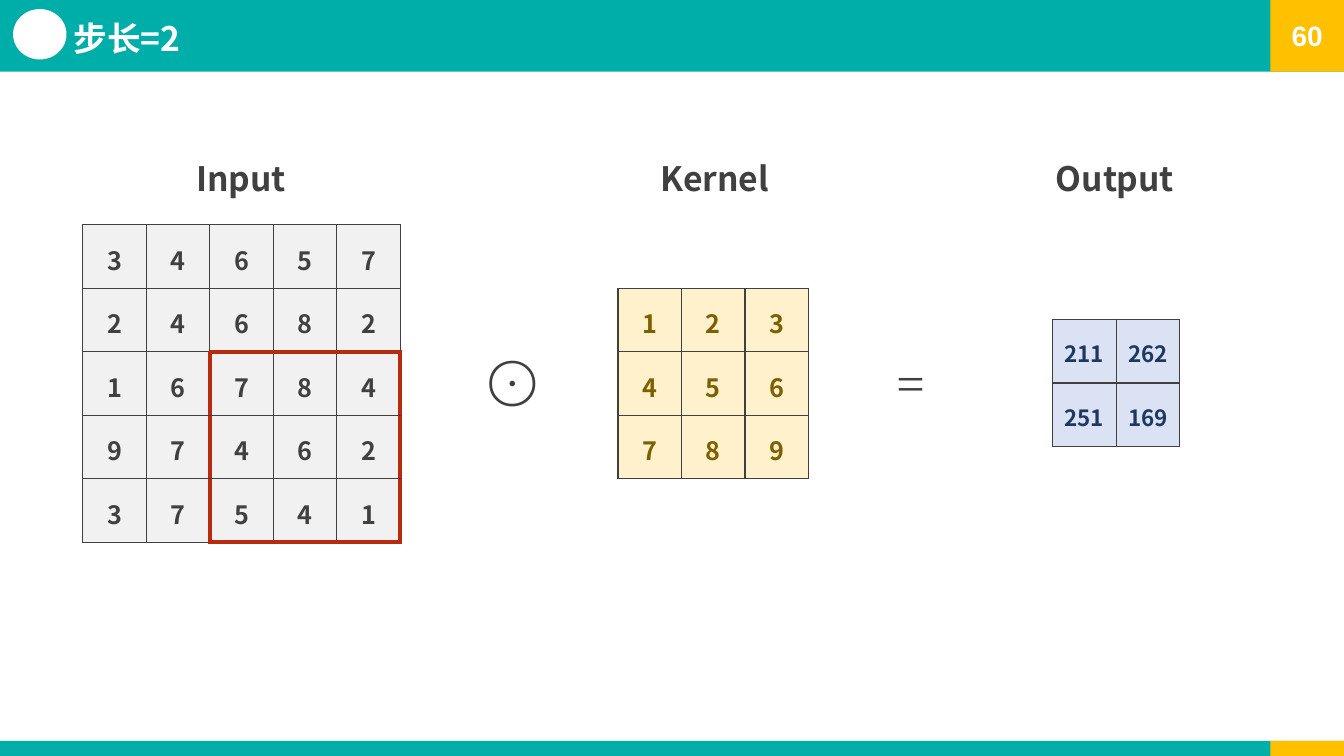
from dataclasses import dataclass

from lxml.etree import SubElement
from pptx import Presentation
from pptx.dml.color import RGBColor
from pptx.enum.shapes import MSO_SHAPE as SHAPE
from pptx.enum.text import MSO_ANCHOR as ANCHOR, PP_ALIGN as ALIGN
from pptx.oxml.ns import qn
from pptx.util import Inches, Pt


@dataclass(frozen=True)
class Theme:
    """Colours, fonts and type sizes of the slide."""
    teal: str = "00AEA9"
    amber: str = "FFC000"
    white: str = "FFFFFF"
    ink: str = "404040"
    window: str = "B82B0E"
    input_fill: str = "F1F1F1"
    kernel_fill: str = "FFF1CC"
    kernel_ink: str = "7E5F00"
    output_fill: str = "DAE2F3"
    output_ink: str = "1F3863"
    sans: str = "Noto Sans CJK SC"
    serif: str = "Times New Roman"
    number: str = "Arial"
    heading: int = 24
    page: int = 20
    digit: int = 18
    result: int = 16
    operator: int = 36


THEME = Theme()
CELL = 0.63


def rgb(color):
    """Turn a hex string into a colour."""
    return RGBColor.from_string(color)


def add_run(p, text, size, color, font=THEME.sans, bold=True, spacing=0):
    """Add one formatted run, with letter spacing in points."""
    r = p.add_run()
    r.text = text
    r.font.size, r.font.bold, r.font.name = Pt(size), bold, font
    r.font.color.rgb = rgb(color)
    rPr = r._r.get_or_add_rPr()
    SubElement(rPr, qn("a:ea")).set("typeface", font)
    if spacing:
        rPr.set("spc", str(round(spacing * 100)))


def set_margins(frame, left=0, top=0):
    """Set left and top margins in inches and clear the others."""
    frame.margin_left, frame.margin_top = Inches(left), Inches(top)
    frame.margin_right = frame.margin_bottom = 0


def add_block(slide, kind, left, top, width, height, color):
    """Add a plain filled shape without outline."""
    sp = slide.shapes.add_shape(kind, Inches(left), Inches(top),
                                Inches(width), Inches(height))
    sp.shadow.inherit = False
    sp.fill.solid()
    sp.fill.fore_color.rgb = rgb(color)
    sp.line.fill.background()
    return sp


def add_text(slide, left, top, width, height, inset=(0.01, 0.02)):
    """Add a wrapping text box and return its text frame."""
    tf = slide.shapes.add_textbox(Inches(left), Inches(top),
                                  Inches(width), Inches(height)).text_frame
    tf.word_wrap = True
    set_margins(tf, *inset)
    return tf


def add_border(cell, side, color, width):
    """Draw one side of a table cell."""
    ln = SubElement(cell._tc.get_or_add_tcPr(), qn(f"a:ln{side}"), w=str(Pt(width)))
    fill = SubElement(ln, qn("a:solidFill"))
    SubElement(fill, qn("a:srgbClr")).set("val", color)


def add_matrix(slide, left, top, rows, fill, ink, size=THEME.digit,
               inset=0.16, spacing=0, window=()):
    """Add a matrix of square cells, outlining the cells in the window."""
    n = len(rows)
    side = Inches(CELL * n)
    table = slide.shapes.add_table(n, n, Inches(left), Inches(top), side, side).table
    table.first_row = table.horz_banding = False
    for line in (*table.columns, *table.rows):
        if line in table.columns:
            line.width = Inches(CELL)
        else:
            line.height = Inches(CELL)
    neighbours = {"L": (0, -1), "R": (0, 1), "T": (-1, 0), "B": (1, 0)}
    for i, values in enumerate(rows):
        for j, value in enumerate(values):
            cell = table.cell(i, j)
            set_margins(cell, top=inset)
            for edge, (di, dj) in neighbours.items():
                outlined = ((i, j) in window) != ((i + di, j + dj) in window)
                add_border(cell, edge, *((THEME.window, 3) if outlined else (THEME.ink, 1)))
            cell.fill.solid()
            cell.fill.fore_color.rgb = rgb(fill)
            p = cell.text_frame.paragraphs[0]
            p.alignment = ALIGN.CENTER
            add_run(p, str(value), size, ink, spacing=spacing)


def add_frame(slide, title, page):
    """Add the header and footer bands, badge, title and page number."""
    for top, height in ((7.35, 0.15), (0, 0.71)):
        add_block(slide, SHAPE.RECTANGLE, 0, top, 13.33, height, THEME.teal)
        corner = add_block(slide, SHAPE.RECTANGLE, 12.6, top, 0.73, height, THEME.amber)
    tf = corner.text_frame
    tf.vertical_anchor = ANCHOR.MIDDLE
    p = tf.paragraphs[0]
    p.alignment = ALIGN.CENTER
    add_run(p, page, THEME.page, THEME.white, THEME.number)
    add_block(slide, SHAPE.OVAL, 0.13, 0.09, 0.53, 0.5, THEME.white)
    tf = add_text(slide, 0.73, 0.08, 9.55, 0.5, (0, 0))
    tf.vertical_anchor = ANCHOR.BOTTOM
    tf.paragraphs[0].line_spacing = 0.9
    add_run(tf.paragraphs[0], title, THEME.heading, THEME.white)


def add_heading(slide, left, width, runs):
    """Add a matrix heading from (text, letter spacing) runs."""
    p = add_text(slide, left, 1.55, width, 0.43).paragraphs[0]
    for text, spacing in runs:
        add_run(p, text, THEME.heading, THEME.ink, spacing=spacing)


def add_operator(slide, left, width, symbol):
    """Add a large operator between two matrices."""
    p = add_text(slide, left, 3.46, width, 0.63).paragraphs[0]
    add_run(p, symbol, THEME.operator, THEME.ink, THEME.serif, bold=False)


def main():
    """Build the stride slide and save it."""
    prs = Presentation()
    prs.slide_width, prs.slide_height = Inches(13.33), Inches(7.5)
    slide = prs.slides.add_slide(prs.slide_layouts[6])
    add_frame(slide, "步长=2", "60")

    window = {(i, j) for i in range(2, 5) for j in range(2, 5)}
    pixels = [[3, 4, 6, 5, 7], [2, 4, 6, 8, 2], [1, 6, 7, 8, 4],
              [9, 7, 4, 6, 2], [3, 7, 5, 4, 1]]
    kernel = [[1, 2, 3], [4, 5, 6], [7, 8, 9]]
    output = [[211, 262], [251, 169]]
    add_matrix(slide, 0.82, 2.23, pixels, THEME.input_fill, THEME.ink, window=window)
    add_matrix(slide, 6.13, 2.86, kernel, THEME.kernel_fill, THEME.kernel_ink)
    add_matrix(slide, 10.44, 3.17, output, THEME.output_fill, THEME.output_ink,
               THEME.result, 0.17, -0.1)

    add_operator(slide, 4.83, 0.46, "⨀")
    add_operator(slide, 8.88, 0.4, "=")
    add_heading(slide, 1.94, 0.93, [("Inp", -0.1), ("ut", 0)])
    add_heading(slide, 6.54, 1.1, [("K", -0.2), ("ernel", -0.1)])
    add_heading(slide, 10.46, 1.23, [("O", -0.1), ("u", 0.1), ("tput", -0.1)])
    prs.save("out.pptx")


if __name__ == "__main__":
    main()
